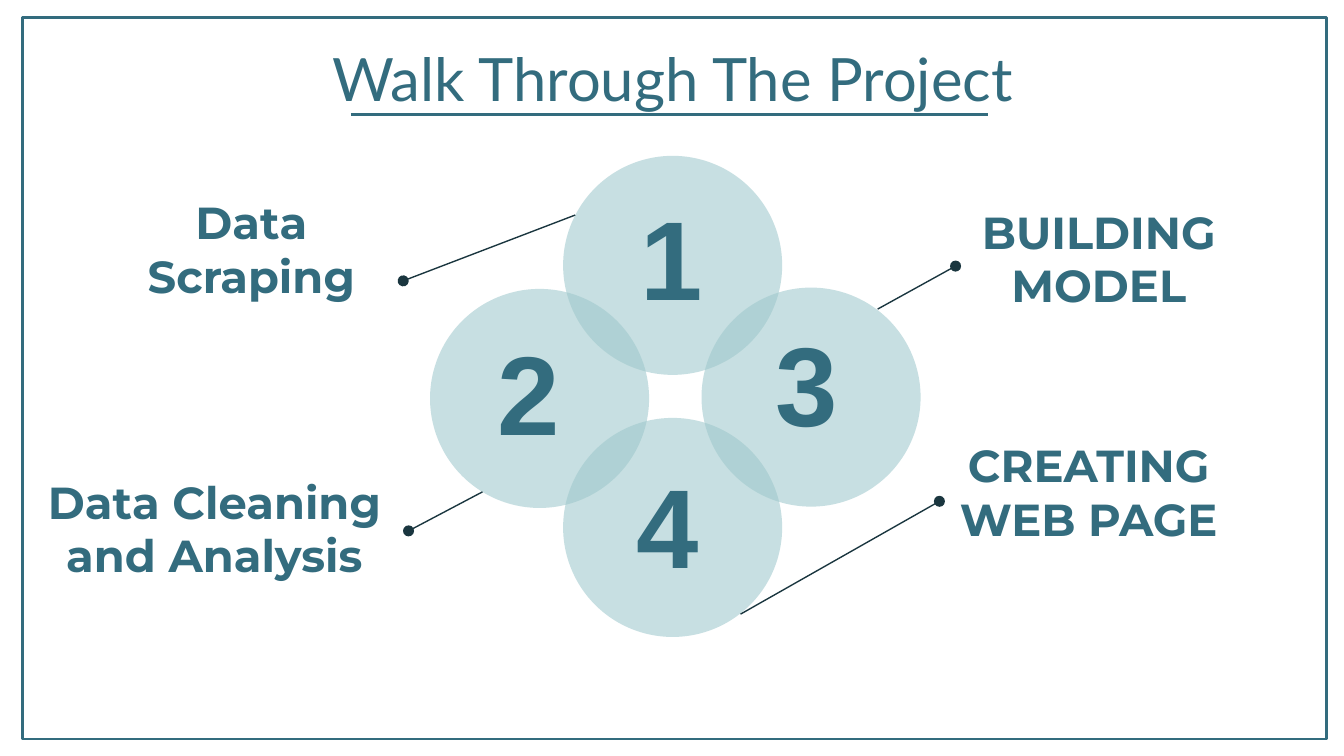
from lxml.etree import SubElement
from pptx import Presentation
from pptx.dml.color import RGBColor
from pptx.enum.shapes import MSO_CONNECTOR, MSO_SHAPE
from pptx.enum.text import MSO_ANCHOR, PP_ALIGN
from pptx.oxml.ns import qn
from pptx.util import Inches, Pt

COLORS = {"teal": "336C7E", "circle": "9EC8CC", "leader": "1A363F"}
CIRCLE_SIZE = 1.63
CIRCLE_ALPHA = 57
NUMBER_SIZE = (1.13, 1.11)

TITLE = ("Walk Through The Project", (0.79, 0.21, 8.43, 0.78))
FRAME = (0.17, 0.13, 9.7, 5.37)
UNDERLINE = ((2.61, 0.85), (7.35, 0.85))

# The leader runs from the dot beside the label to the circle.
STEPS = [
    {"number": "1", "label": "Data Scraping", "label_box": (0.74, 1.45, 2.26, 0.9),
     "circle": (4.19, 1.16), "number_at": (4.43, 1.35), "leader": ((3, 2.09), (4.28, 1.6))},
    {"number": "2", "label": "Data Cleaning and Analysis", "label_box": (0.15, 3.46, 2.89, 0.97),
     "circle": (3.2, 2.15), "number_at": (3.37, 2.36), "leader": ((3.04, 3.95), (3.59, 3.66))},
    {"number": "4", "label": "CREATING WEB PAGE", "label_box": (6.99, 3.31, 2.22, 0.85),
     "circle": (4.19, 3.11), "number_at": (4.4, 3.35), "leader": ((6.99, 3.73), (5.51, 4.57))},
    {"number": "3", "label": "BUILDING MODEL", "label_box": (7.14, 1.47, 2.07, 0.95),
     "circle": (5.22, 2.14), "number_at": (5.44, 2.29), "leader": ((7.11, 1.98), (6.53, 2.3))},
]


def rgb(name):
    return RGBColor.from_string(COLORS[name])


def add_text(slide, text, box, font, size, bold=False, anchor=MSO_ANCHOR.TOP, margin_y=0.1):
    shape = slide.shapes.add_textbox(*map(Inches, box))
    frame = shape.text_frame
    frame.word_wrap = True
    frame.vertical_anchor = anchor
    frame.margin_left = frame.margin_right = Inches(0.1)
    frame.margin_top = frame.margin_bottom = Inches(margin_y)
    paragraph = frame.paragraphs[0]
    paragraph.alignment = PP_ALIGN.CENTER
    run = paragraph.add_run()
    run.text = text
    run.font.name = font
    run.font.size = Pt(size)
    run.font.bold = bold
    run.font.color.rgb = rgb("teal")


def add_line(slide, start, end, color, width, dot=False):
    connector = slide.shapes.add_connector(MSO_CONNECTOR.STRAIGHT, *map(Inches, start + end))
    connector.line.color.rgb = rgb(color)
    connector.line.width = Pt(width)
    properties = connector._element.spPr
    if dot:
        SubElement(properties.find(qn("a:ln")), qn("a:headEnd"), type="oval", w="med", len="med")
    SubElement(properties, qn("a:effectLst"))


def add_frame(slide):
    frame = slide.shapes.add_shape(MSO_SHAPE.RECTANGLE, *map(Inches, FRAME))
    frame.shadow.inherit = False
    frame.fill.background()
    frame.line.color.rgb = rgb("teal")
    frame.line.width = Pt(1.5)


def add_circle(slide, position):
    box = (*position, CIRCLE_SIZE, CIRCLE_SIZE)
    circle = slide.shapes.add_shape(MSO_SHAPE.OVAL, *map(Inches, box))
    circle.shadow.inherit = False
    circle.line.fill.background()
    circle.fill.solid()
    circle.fill.fore_color.rgb = rgb("circle")
    color = circle._element.spPr.find(qn("a:solidFill"))[0]
    SubElement(color, qn("a:alpha"), val=str(CIRCLE_ALPHA * 1000))


def main():
    presentation = Presentation()
    presentation.slide_width = Inches(10)
    presentation.slide_height = Inches(10 * 9 / 16)
    slide = presentation.slides.add_slide(presentation.slide_layouts[6])

    add_frame(slide)
    add_text(slide, *TITLE, "Lato", 32)
    for step in STEPS:
        add_text(slide, step["label"], step["label_box"], "Montserrat", 24,
                 bold=True, anchor=MSO_ANCHOR.BOTTOM)
    for step in STEPS:
        add_circle(slide, step["circle"])
    for step in STEPS:
        add_line(slide, *step["leader"], "leader", 0.75, dot=True)
    add_line(slide, *UNDERLINE, "teal", 1.5)
    for step in STEPS:
        add_text(slide, step["number"], step["number_at"] + NUMBER_SIZE, "Arial", 60,
                 bold=True, margin_y=0.05)

    presentation.save("out.pptx")


if __name__ == "__main__":
    main()
